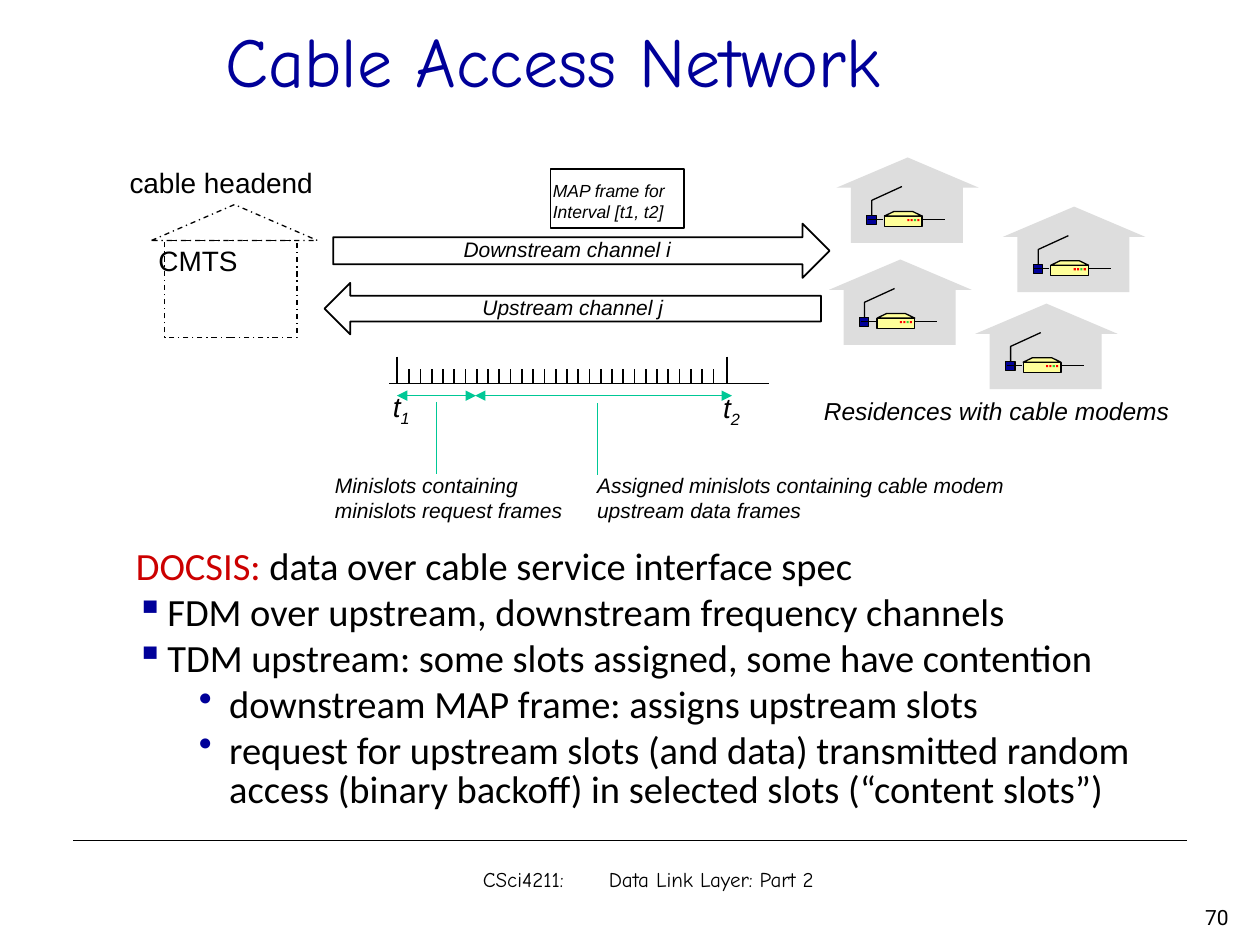
from lxml import etree
from pptx import Presentation
from pptx.dml.color import RGBColor
from pptx.enum.dml import MSO_LINE
from pptx.enum.shapes import MSO_CONNECTOR, MSO_SHAPE
from pptx.enum.text import MSO_ANCHOR, PP_ALIGN
from pptx.oxml.ns import qn
from pptx.util import Pt

BLACK = RGBColor(0x00, 0x00, 0x00)
NAVY = RGBColor(0x00, 0x00, 0x99)
RED = RGBColor(0xCC, 0x00, 0x00)
TEAL = RGBColor(0x00, 0xC8, 0x96)
GREY = RGBColor(0xDD, 0xDD, 0xDD)
YELLOW = RGBColor(0xFF, 0xFF, 0x99)
LAMP_RED = RGBColor(0xFF, 0x00, 0x00)
LAMP_GREEN = RGBColor(0x33, 0xCC, 0x33)

RECT, TRIANGLE = MSO_SHAPE.RECTANGLE, MSO_SHAPE.ISOSCELES_TRIANGLE
RIGHT_ARROW, LEFT_ARROW = MSO_SHAPE.RIGHT_ARROW, MSO_SHAPE.LEFT_ARROW
LEFT, CENTER, RIGHT = PP_ALIGN.LEFT, PP_ALIGN.CENTER, PP_ALIGN.RIGHT
TOP, MIDDLE = MSO_ANCHOR.TOP, MSO_ANCHOR.MIDDLE
DASH_DOT = MSO_LINE.DASH_DOT
STRAIGHT = MSO_CONNECTOR.STRAIGHT

# Content: boxes are (left, top, width, height) in points
TITLE = "Cable Access Network"
FOOTER = "CSci4211:\tData Link Layer: Part 2"
SLIDE_NUMBER = "70"

# (level, bullet, left margin, first-line indent, [(text, colour), ...])
DOCSIS_POINTS = [
    (0, None, 27, -27, [("DOCSIS: ", RED),
                        ("data over cable service interface spec", BLACK)]),
    (0, "▪", 18, -18, [("FDM over upstream, downstream frequency channels", BLACK)]),
    (0, "▪", 18, -18, [("TDM upstream: some slots assigned, some have contention", BLACK)]),
    (1, "•", 53.3, -17.3, [("downstream MAP frame: assigns upstream slots", BLACK)]),
    (1, "•", 53.3, -17.3, [("request for upstream slots (and data) transmitted random access "
                            "(binary backoff) in selected slots (“content slots”)", BLACK)]),
]

CHANNELS = [
    (RIGHT_ARROW, (190.4, 127.8, 283.7, 31), "Downstream channel i", (257.8, 131.8, 137.5, 21.6)),
    (LEFT_ARROW, (185.4, 161.6, 283.7, 29.5), "Upstream channel j", (268.6, 164.9, 121.7, 21.6)),
]
MAP_FRAME = ["MAP frame for", "Interval [t1, t2]"]
SLOT_NOTES = [
    (["Assigned minislots containing cable modem", "upstream data frames"],
     (334.1, 266.4, 252.7, 36)),
    (["Minislots containing", "minislots request frames"], (184.3, 266.4, 149, 36)),
]
INTERVAL_ENDS = [("1", 226.8, 217.4, 218.9), ("2", 415.4, 406.1, 219.6)]
SLOT_SPANS = [(226.8, 272), (271.5, 418.3)]
NOTE_LEADERS = [(314.3, 229.7), (341.5, 230.4)]
HOUSES = [(478, 90), (573.1, 118.1), (557.3, 173.5), (473.8, 148.3)]
LAMPS = [LAMP_RED, LAMP_RED, LAMP_GREEN, LAMP_RED]

prs = Presentation()
prs.slide_width, prs.slide_height = Pt(720), Pt(540)
slide = prs.slides.add_slide(prs.slide_layouts[6])
shapes = slide.shapes


def paint(shape, fill, line, width, dash=None):
    shape.shadow.inherit = False
    if fill is None:
        shape.fill.background()
    else:
        shape.fill.solid()
        shape.fill.fore_color.rgb = fill
    if line is None:
        shape.line.fill.background()
    else:
        shape.line.color.rgb = line
        shape.line.width = Pt(width)
        if dash:
            shape.line.dash_style = dash


def add_preset(kind, box, fill=None, line=None, width=0.75, dash=None):
    paint(shapes.add_shape(kind, *map(Pt, box)), fill, line, width, dash)


def add_outline(points, closed, fill=None):
    points = [(Pt(x), Pt(y)) for x, y in points]
    builder = shapes.build_freeform(*points[0], scale=1.0)
    builder.add_line_segments(points[1:], close=closed)
    paint(builder.convert_to_shape(), fill, BLACK, 0.75)


def add_line(x1, y1, x2, y2, color=BLACK, width=0.75, arrows=False):
    line = shapes.add_connector(STRAIGHT, Pt(x1), Pt(y1), Pt(x2), Pt(y2))
    line.line.color.rgb = color
    line.line.width = Pt(width)
    if arrows:
        ln = line.line._get_or_add_ln()
        for end in ("a:headEnd", "a:tailEnd"):
            etree.SubElement(ln, qn(end), type="triangle")
    etree.SubElement(line._element.spPr, qn("a:effectLst"))


def add_bullet(paragraph, char):
    props = paragraph._p.get_or_add_pPr()
    color = etree.SubElement(props, qn("a:buClr"))
    etree.SubElement(color, qn("a:srgbClr"), val=str(NAVY))
    etree.SubElement(props, qn("a:buChar"), char=char)


def add_text(box, paragraphs, *, size, font="Arial", color=BLACK, italic=False,
             align=LEFT, anchor=TOP, wrap=True, spacing=None, before=0, tab=None):
    """Each paragraph is a string or a tuple laid out as in DOCSIS_POINTS."""
    frame = shapes.add_textbox(*map(Pt, box)).text_frame
    frame.word_wrap = wrap
    frame.vertical_anchor = anchor
    for i, item in enumerate(paragraphs):
        if isinstance(item, str):
            item = (0, None, 0, 0, [(item, color)])
        level, bullet, margin, indent, runs = item
        para = frame.paragraphs[0] if i == 0 else frame.add_paragraph()
        para.level, para.alignment = level, align
        if spacing:
            para.line_spacing = spacing
        if before and i:
            para.space_before = Pt(before)
        props = para._p.get_or_add_pPr()
        props.set("marL", str(Pt(margin)))
        props.set("indent", str(Pt(indent)))
        if bullet:
            add_bullet(para, bullet)
        if tab:
            stops = etree.SubElement(props, qn("a:tabLst"))
            etree.SubElement(stops, qn("a:tab"), pos=str(Pt(tab)), algn="l")
        for text, run_color in runs:
            run = para.add_run()
            run.text = text
            run.font.name, run.font.size = font, Pt(size)
            run.font.italic = italic
            run.font.color.rgb = run_color
    return frame


def add_house(x, y):
    """A house with its computer, antenna and cable modem; (x, y) is the roof's corner."""
    def at(left, top, *size):
        return (x + left, y + top, *size)

    wire_y = 35.3
    add_preset(TRIANGLE, at(0, 0, 81.4, 17.3), GREY)
    add_preset(RECT, at(8.3, 15.1, 64, 33.8), GREY)
    add_line(*at(49, wire_y), *at(61.9, wire_y))
    add_preset(RECT, at(27.4, 33.5, 21.6, 5.8), YELLOW, BLACK)
    for i, lamp in enumerate(LAMPS):
        add_preset(RECT, at(40.5 + 1.9 * i, 35.2, 1.2, 1.2), lamp)
    add_outline([at(49, 33.5), at(43.6, 30.9), at(32.8, 30.9), at(27.4, 33.5)], True, YELLOW)
    add_preset(RECT, at(17.3, 33.1, 5.4, 5.2), NAVY, BLACK)
    add_outline([at(20.2, 32.8), at(20.2, 24.5), at(37.4, 16.6)], False)
    add_line(*at(18, wire_y), *at(26.6, wire_y))


add_line(41.8, 480.2, 678.2, 480.2)
add_text((70.6, 310.3, 617, 180), DOCSIS_POINTS, size=22, font="Calibri",
         spacing=0.85, before=3.8)

# Channels and MAP frame
add_preset(RECT, (314.6, 96.5, 76.3, 33.8), line=BLACK, width=1)
add_text((308.9, 99.4, 81.4, 31.7), MAP_FRAME, size=10, italic=True, wrap=False, spacing=Pt(12))
for kind, arrow_box, label, label_box in CHANNELS:
    add_preset(kind, arrow_box, line=BLACK, width=1)
    add_text(label_box, [label], size=12, italic=True, wrap=False)

# Minislot time axis
AXIS_Y, SLOT_START, SLOT_STEP, SLOT_COUNT = 219.2, 233.8, 6.44, 28
add_line(222.5, AXIS_Y, 439.2, AXIS_Y, width=1)
for i in range(SLOT_COUNT):
    slot_x = SLOT_START + i * SLOT_STEP
    add_line(slot_x, 211, slot_x, AXIS_Y, width=1)
for subscript, tick_x, label_x, label_y in INTERVAL_ENDS:
    add_line(tick_x, 203.8, tick_x, AXIS_Y, width=1)
    label = (0, None, 0, 0, [("t", BLACK), (subscript, BLACK)])
    frame = add_text((label_x, label_y, 28, 26.6), [label], size=16, italic=True, wrap=False)
    frame.paragraphs[0].runs[1]._r.get_or_add_rPr().set("baseline", "-25000")
for start, end in SLOT_SPANS:
    add_line(start, 226.1, end, 226.1, TEAL, arrows=True)
for leader_x, leader_y in [(249.5, 229.7), (341.6, 230.4)]:
    add_line(leader_x, leader_y, leader_x, leader_y + 41, TEAL)
for note, note_box in SLOT_NOTES:
    add_text(note_box, note, size=12, italic=True, wrap=False)

# Cable headend
add_preset(RECT, (94.1, 137.4, 75.6, 55.4), line=BLACK, dash=DASH_DOT)
add_text((50.4, 95, 151.9, 22.3), ["cable headend"], size=16, align=CENTER, spacing=0.8)
add_text((83.5, 135.4, 74.9, 26.6), ["CMTS"], size=16)
add_preset(TRIANGLE, (86.6, 116.9, 94.8, 20.5), line=BLACK, dash=DASH_DOT)

# Residences
for house in HOUSES:
    add_house(*house)
add_text((463.7, 222.5, 216.7, 24.5), ["Residences with cable modems"], size=14,
         italic=True, wrap=False)

add_text((121.7, 1.4, 442.8, 65.5), [TITLE], size=40, font="Comic Neue", color=NAVY,
         anchor=MIDDLE)
add_text((666, 513.4, 43.2, 21.6), [SLIDE_NUMBER], size=12, font="Roboto", align=RIGHT)
add_text((268.8, 491.8, 246.7, 36), [FOOTER], size=12, font="Comic Neue", tab=86.4)

prs.save("out.pptx")
